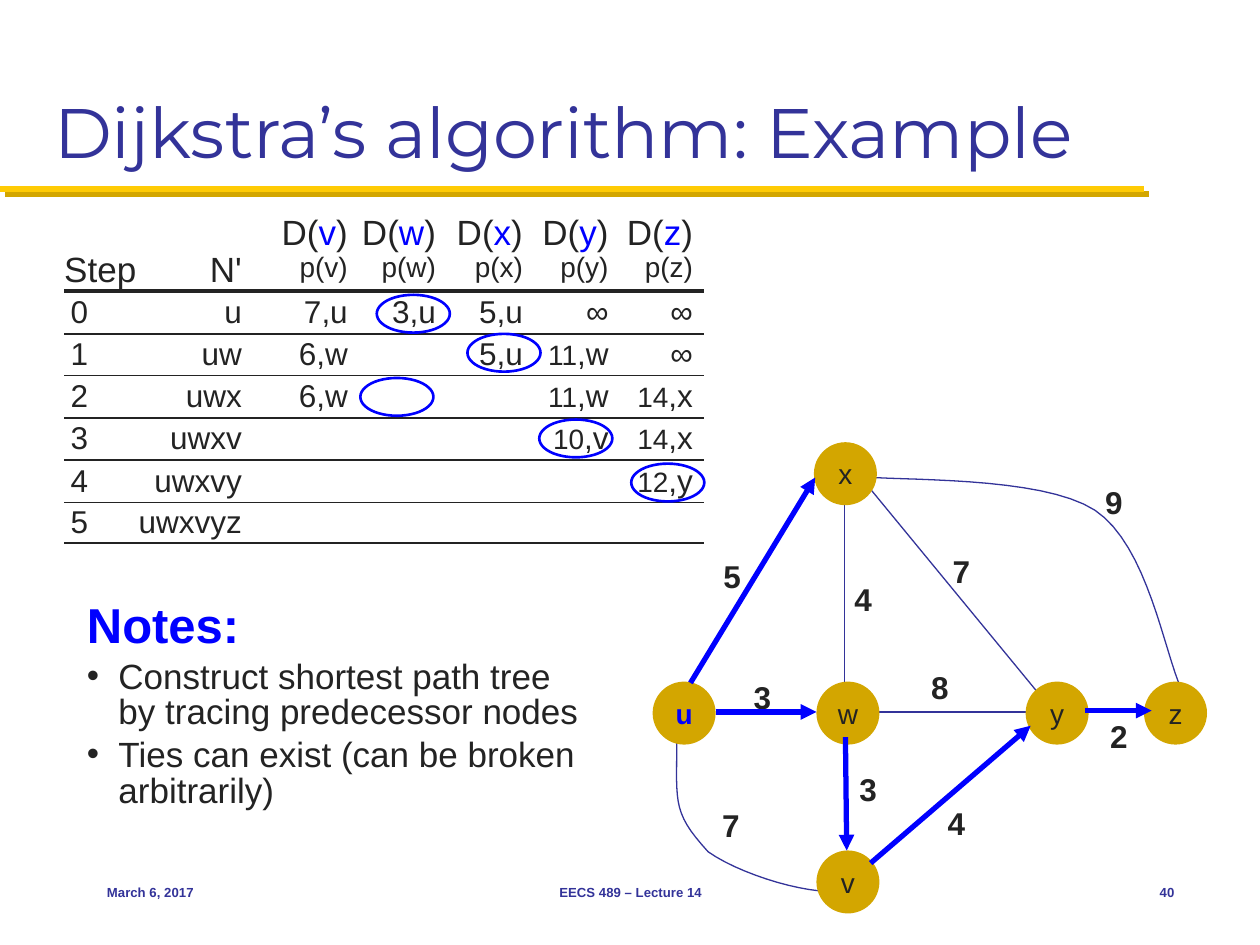
from dataclasses import dataclass

from pptx import Presentation
from pptx.dml.color import RGBColor
from pptx.enum.shapes import MSO_CONNECTOR, MSO_SHAPE
from pptx.enum.text import MSO_ANCHOR, MSO_AUTO_SIZE, PP_ALIGN
from pptx.oxml.ns import qn
from pptx.util import Pt
from lxml import etree

PX = 9144  # EMU in one px, 100 px to the inch
NO_TABLE_STYLE = "{2D5ABB26-0587-4C30-8999-92F81FD0307C}"
LEFT, CENTER, RIGHT = PP_ALIGN.LEFT, PP_ALIGN.CENTER, PP_ALIGN.RIGHT
TOP, MIDDLE, BOTTOM = MSO_ANCHOR.TOP, MSO_ANCHOR.MIDDLE, MSO_ANCHOR.BOTTOM
STRAIGHT, OVAL = MSO_CONNECTOR.STRAIGHT, MSO_SHAPE.OVAL


@dataclass(frozen=True)
class Theme:
    ink: str = "232323"
    navy: str = "333399"
    blue: str = "0000FF"
    gold: str = "D3A600"
    yellow: str = "FFCB05"
    body_font: str = "Arial"
    title_font: str = "Montserrat"
    title: float = 40
    notes: float = 28
    large: float = 20
    medium: float = 18
    small: float = 16
    footer: float = 7.5


THEME = Theme()


def px(*lengths):
    return [round(length * PX) for length in lengths]


def write(paragraph, text, size=THEME.medium, color=THEME.ink, bold=False,
          font=THEME.body_font, align=None):
    run = paragraph.add_run()
    run.text = text
    run.font.size, run.font.bold, run.font.name = Pt(size), bold, font
    run.font.color.rgb = RGBColor.from_string(color)
    if align is not None:
        paragraph.alignment = align


def set_frame(frame, anchor, margin_x=0, margin_y=0):
    frame.word_wrap = True
    frame.auto_size = MSO_AUTO_SIZE.NONE
    frame.vertical_anchor = anchor
    frame.margin_left, frame.margin_right = px(margin_x, margin_x)
    frame.margin_top, frame.margin_bottom = px(margin_y, margin_y)


def add_label(slide, box, text, margin_x=0, **style):
    frame = slide.shapes.add_textbox(*px(*box)).text_frame
    set_frame(frame, MIDDLE, margin_x)
    write(frame.paragraphs[0], text, **style)


def set_line(shape, color, width):
    shape.line.color.rgb = RGBColor.from_string(color)
    shape.line.width = Pt(width)


def add_line(slide, ends, color, width, arrow=False):
    """Draw a straight line and return its effect list, which is empty."""
    line = slide.shapes.add_connector(STRAIGHT, *px(*ends))
    set_line(line, color, width)
    if arrow:
        etree.SubElement(line.line._get_or_add_ln(), qn("a:tailEnd"), type="triangle")
    return etree.SubElement(line._element.spPr, qn("a:effectLst"))


def add_curve(slide, start, segments, steps=16):
    """Draw cubic Bezier segments, each two control points and an end point."""
    points, origin = [], start
    for first, second, end in segments:
        for step in range(1, steps + 1):
            t = step / steps
            weights = ((1 - t) ** 3, 3 * t * (1 - t) ** 2, 3 * t ** 2 * (1 - t), t ** 3)
            corners = (origin, first, second, end)
            points.append(px(*(sum(w * c[axis] for w, c in zip(weights, corners))
                               for axis in (0, 1))))
        origin = end
    builder = slide.shapes.build_freeform(*px(*start))
    builder.add_line_segments(points, close=False)
    curve = builder.convert_to_shape()
    curve.shadow.inherit = False
    curve.fill.background()
    set_line(curve, THEME.navy, 0.75)


def add_oval(slide, box):
    oval = slide.shapes.add_shape(OVAL, *px(*box))
    oval.shadow.inherit = False
    return oval


def place(shape, box):
    shape.left, shape.top, shape.width, shape.height = px(*box)


def fill_title(slide, box):
    title = slide.shapes.title
    place(title, box)
    set_frame(title.text_frame, BOTTOM, 10, 5)
    write(title.text_frame.paragraphs[0], "Dijkstra’s algorithm: Example",
          size=THEME.title, color=THEME.navy, font=THEME.title_font, align=LEFT)
    effects = add_line(slide, (0, 150, 908, 150), THEME.yellow, 3.5)
    shadow = etree.SubElement(effects, qn("a:outerShdw"), dist=str(Pt(4.2)),
                              dir="2700000", algn="ctr", rotWithShape="0")
    etree.SubElement(shadow, qn("a:srgbClr"), val=THEME.gold)


def fill_notes(body, box):
    place(body, box)
    frame = body.text_frame
    set_frame(frame, TOP, 10, 5)
    items = ["Notes:", "Construct shortest path tree by tracing predecessor nodes",
             "Ties can exist (can be broken arbitrarily)"]
    for index, text in enumerate(items):
        paragraph = frame.add_paragraph() if index else frame.paragraphs[0]
        properties = paragraph._p.get_or_add_pPr()
        indent = px(25)[0] if index else 0
        properties.set("marL", str(indent))
        properties.set("indent", str(-indent))
        if index:
            color = etree.SubElement(properties, qn("a:buClr"))
            etree.SubElement(color, qn("a:srgbClr"), val=THEME.ink)
            etree.SubElement(properties, qn("a:buChar"), char="•")
            style = {"size": THEME.large}
        else:
            etree.SubElement(properties, qn("a:buNone"))
            style = {"size": THEME.notes, "color": THEME.blue, "bold": True}
        paragraph.line_spacing = 0.85
        paragraph.space_before = Pt(4 if index else 0)
        write(paragraph, text, align=LEFT, **style)


def set_bottom_border(cell, width):
    border = etree.Element(qn("a:lnB"), w=str(Pt(width)))
    fill = etree.SubElement(border, qn("a:solidFill"))
    etree.SubElement(fill, qn("a:srgbClr"), val=THEME.ink)
    cell._tc.get_or_add_tcPr().insert(0, border)


def fill_header(cell, name):
    paragraph = cell.text_frame.paragraphs[0]
    if len(name) > 1:
        write(paragraph, name, size=THEME.large, align=LEFT if name == "Step" else RIGHT)
        return
    for text, color in (("D(", THEME.ink), (name, THEME.blue), (")", THEME.ink)):
        write(paragraph, text, size=THEME.large, color=color, align=RIGHT)
    write(cell.text_frame.add_paragraph(), f"p({name})", size=THEME.small, align=RIGHT)


def fill_value(cell, text, align):
    paragraph = cell.text_frame.paragraphs[0]
    number, comma, node = text.partition(",")
    if len(number) == 2 and comma:
        write(paragraph, number, size=THEME.small, align=align)
        text = comma + node
    write(paragraph, text, align=align)


def add_step_table(slide, left, top):
    header = ["Step", "N'", "v", "w", "x", "y", "z"]
    rows = [["0", "u", "7,u", "3,u", "5,u", "∞", "∞"],
            ["1", "uw", "6,w", "", "5,u", "11,w", "∞"],
            ["2", "uwx", "6,w", "", "", "11,w", "14,x"],
            ["3", "uwxv", "", "", "", "10,v", "14,x"],
            ["4", "uwxvy", "", "", "", "", "12,y"],
            ["5", "uwxvyz", "", "", "", "", ""]]
    widths = [58, 83, 93, 70, 69, 68, 67]
    heights = [68, 34, 33, 34, 33, 34, 32]
    frame = slide.shapes.add_table(len(heights), len(widths),
                                   *px(left, top, sum(widths), sum(heights)))
    table = frame.table
    table._tbl.tblPr.find(qn("a:tableStyleId")).text = NO_TABLE_STYLE
    table.first_row = table.horz_banding = False
    for column, width in zip(table.columns, px(*widths)):
        column.width = width
    for row, height in zip(table.rows, px(*heights)):
        row.height = height
    for r, values in enumerate([header] + rows):
        for c, text in enumerate(values):
            cell = table.cell(r, c)
            cell.fill.background()
            cell.margin_left, cell.margin_right = px(5 if r and c == 0 else 0, 9 if c > 1 else 0)
            cell.margin_top, cell.margin_bottom = px(0, 0 if r else 6 if c > 1 else 1)
            cell.vertical_anchor = MIDDLE if r else BOTTOM
            set_bottom_border(cell, 1 if r else 2.25)
            if r:
                fill_value(cell, text, RIGHT if c else LEFT)
            else:
                fill_header(cell, text)
    for x, y in ((248, 71), (320, 102), (235, 137), (377, 170), (450, 205)):
        ring = add_oval(slide, (left + x, top + y, 58, 30))
        ring.fill.background()
        set_line(ring, THEME.blue, 1.5)


def add_graph(slide, left, top):
    def at(x, y):
        return left + x, top + y

    for ends in ((152, 39, 152, 196), (162, 24, 315, 210), (178, 214, 298, 214)):
        add_line(slide, at(*ends[:2]) + at(*ends[2:]), THEME.navy, 0.75)
    add_curve(slide, at(19, 226), [(at(20, 285), at(13, 291), at(44, 325)),
                                   (at(75, 347), at(146, 365), at(155, 352))])
    add_curve(slide, at(162, 27), [(at(193, 31), at(308, 26), at(351, 54)),
                                   (at(393, 82), at(406, 167), at(420, 197))])
    nodes = {"x": (128, 0), "u": (0, 190), "w": (130, 190),
             "y": (296, 190), "z": (390, 190), "v": (130, 324)}
    for name, corner in nodes.items():
        node = add_oval(slide, at(*corner) + (50, 50))
        node.fill.solid()
        node.fill.fore_color.rgb = RGBColor.from_string(THEME.gold)
        node.line.fill.background()
        set_frame(node.text_frame, MIDDLE)
        is_source = name == "u"
        write(node.text_frame.paragraphs[0], name, size=THEME.small, bold=is_source,
              color=THEME.blue if is_source else THEME.ink, align=CENTER)
    weights = [("3", 70, 182), ("4", 150, 104), ("5", 46, 86), ("3", 154, 255), ("7", 45, 284),
               ("4", 224, 282), ("8", 211, 174), ("2", 353, 213), ("7", 228, 82), ("9", 349, 27)]
    for text, x, y in weights:
        add_label(slide, at(x, y) + (34, 40), text, bold=True, align=CENTER)
    tree = [(343, 213, 396, 213), (173, 334, 300, 225), (153, 234, 154, 324),
            (30, 191, 129, 28), (50, 214, 130, 214)]
    for ends in tree:
        add_line(slide, at(*ends[:2]) + at(*ends[2:]), THEME.blue, 3, arrow=True)


def add_footer(slide, top):
    for text, left, width, align in (("March 6, 2017", 75, 208, LEFT),
                                     ("EECS 489 – Lecture 14", 342, 317, CENTER),
                                     ("40", 875, 67, RIGHT)):
        add_label(slide, (left, top, width, 50), text, margin_x=10, size=THEME.footer,
                  color=THEME.navy, bold=True, align=align)


def main():
    presentation = Presentation()
    presentation.slide_width, presentation.slide_height = px(1000, 750)
    slide = presentation.slides.add_slide(presentation.slide_layouts[1])
    fill_title(slide, (33, 17, 933, 125))
    fill_notes(slide.placeholders[1], (59, 474, 417, 262))
    add_step_table(slide, 51, 163)
    add_graph(slide, 518, 351)
    add_footer(slide, 683)
    presentation.save("out.pptx")


if __name__ == "__main__":
    main()
